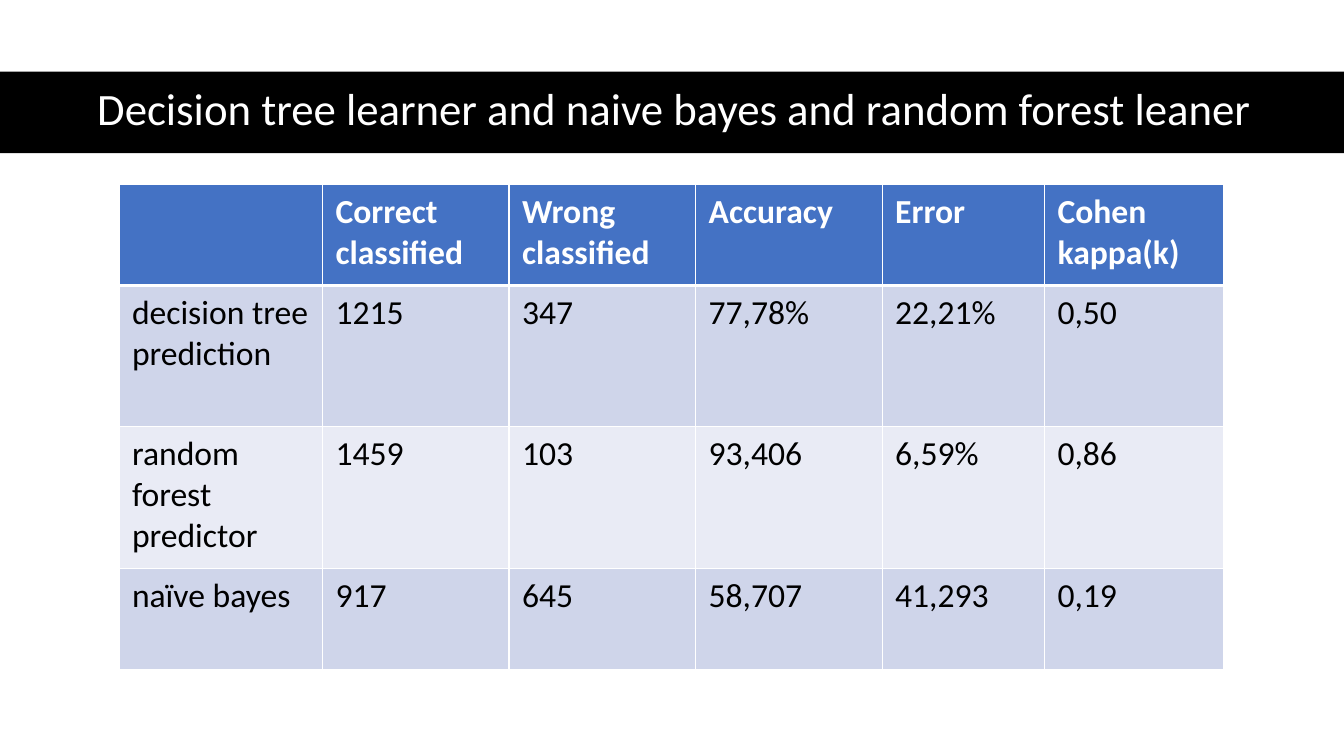
from dataclasses import dataclass

from lxml.etree import SubElement
from pptx import Presentation
from pptx.dml.color import RGBColor
from pptx.enum.shapes import MSO_SHAPE
from pptx.enum.text import MSO_ANCHOR, PP_ALIGN
from pptx.oxml.ns import qn
from pptx.slide import Slide
from pptx.table import _Cell
from pptx.text.text import _Paragraph
from pptx.util import Inches, Length, Pt

SLIDE_WIDTH, SLIDE_HEIGHT = Inches(13.33), Inches(7.5)
FONT = "Calibri"
WHITE, BLACK = "FFFFFF", "000000"
THIN, THICK = 1, 3


@dataclass(frozen=True)
class Area:
    """A rectangle in percent of the slide's width and height."""
    left: float
    top: float
    width: float
    height: float

    def lengths(self) -> tuple[Length, Length, Length, Length]:
        return (across(self.left), down(self.top),
                across(self.width), down(self.height))


@dataclass(frozen=True)
class Column:
    heading: str
    width: float


@dataclass(frozen=True)
class Row:
    values: tuple[str, ...]
    height: float
    fill: str
    color: str = BLACK
    bold: bool = False
    top_border: int = THIN
    bottom_border: int = THIN


TITLE = "Decision tree learner and naive bayes and random forest leaner "
BAND_AREA = Area(0, 9.47, 100, 10.8)
TITLE_AREA = Area(4.58, 9.33, 91.97, 10.8)
TABLE_LEFT, TABLE_TOP = 8.85, 24.4
COLUMNS = (
    Column("", 15.15),
    Column("Correct classified", 13.88),
    Column("Wrong classified", 13.88),
    Column("Accuracy", 13.88),
    Column("Error", 12.08),
    Column("Cohen kappa(k)", 13.35),
)
ROWS = (
    Row(tuple(column.heading for column in COLUMNS), 13.37, "4472C4",
        WHITE, bold=True, bottom_border=THICK),
    Row(("decision tree prediction", "1215", "347", "77,78%", "22,21%", "0,50"),
        18.7, "CFD5EA", top_border=THICK),
    Row(("random forest predictor", "1459", "103", "93,406", "6,59%", "0,86"),
        18.7, "E9EBF5"),
    Row(("naïve bayes", "917", "645", "58,707", "41,293", "0,19"),
        13.37, "CFD5EA"),
)


def across(percent: float) -> Length:
    return Length(round(SLIDE_WIDTH * percent / 100))


def down(percent: float) -> Length:
    return Length(round(SLIDE_HEIGHT * percent / 100))


def rgb(color: str) -> RGBColor:
    return RGBColor.from_string(color)


def add_run(paragraph: _Paragraph, text: str, size: float, color: str,
            bold: bool = False) -> None:
    run = paragraph.add_run()
    run.text = text
    run.font.name = FONT
    run.font.size = Pt(size)
    run.font.bold = bold
    run.font.color.rgb = rgb(color)


def add_title(slide: Slide) -> None:
    """Fill the title placeholder and put the black band behind it."""
    title = slide.shapes.title
    title.left, title.top, title.width, title.height = TITLE_AREA.lengths()
    title.text_frame.word_wrap = True
    title.text_frame.vertical_anchor = MSO_ANCHOR.MIDDLE
    paragraph = title.text_frame.paragraphs[0]
    paragraph.alignment = PP_ALIGN.CENTER
    paragraph.line_spacing = 0.9
    add_run(paragraph, TITLE, 32, WHITE)

    band = slide.shapes.add_shape(MSO_SHAPE.RECTANGLE, *BAND_AREA.lengths())
    band.shadow.inherit = False
    band.fill.solid()
    band.fill.fore_color.rgb = rgb(BLACK)
    band.line.fill.background()
    title.element.addprevious(band.element)


def add_borders(cell: _Cell, row: Row) -> None:
    """Add white borders; they must precede the cell's fill in the XML."""
    properties = cell._tc.get_or_add_tcPr()
    widths = {"a:lnL": THIN, "a:lnR": THIN,
              "a:lnT": row.top_border, "a:lnB": row.bottom_border}
    for tag, width in widths.items():
        line = SubElement(properties, qn(tag), w=str(Pt(width)))
        fill = SubElement(line, qn("a:solidFill"))
        SubElement(fill, qn("a:srgbClr"), val=WHITE)


def format_cell(cell: _Cell, text: str, row: Row) -> None:
    add_borders(cell, row)
    cell.fill.solid()
    cell.fill.fore_color.rgb = rgb(row.fill)
    cell.margin_left = cell.margin_right = Inches(0.13)
    cell.margin_top = cell.margin_bottom = Inches(0.07)
    if text:
        add_run(cell.text_frame.paragraphs[0], text, 24, row.color, row.bold)


def add_results_table(slide: Slide) -> None:
    area = Area(TABLE_LEFT, TABLE_TOP, sum(column.width for column in COLUMNS),
                sum(row.height for row in ROWS))
    table = slide.shapes.add_table(len(ROWS), len(COLUMNS), *area.lengths()).table
    for table_column, column in zip(table.columns, COLUMNS):
        table_column.width = across(column.width)
    for table_row, row in zip(table.rows, ROWS):
        table_row.height = down(row.height)
        for cell, text in zip(table_row.cells, row.values):
            format_cell(cell, text, row)


def main() -> None:
    presentation = Presentation()
    presentation.slide_width = SLIDE_WIDTH
    presentation.slide_height = SLIDE_HEIGHT
    title_only = presentation.slide_layouts.get_by_name("Title Only")
    slide = presentation.slides.add_slide(title_only)
    add_title(slide)
    add_results_table(slide)
    presentation.save("out.pptx")


if __name__ == "__main__":
    main()
